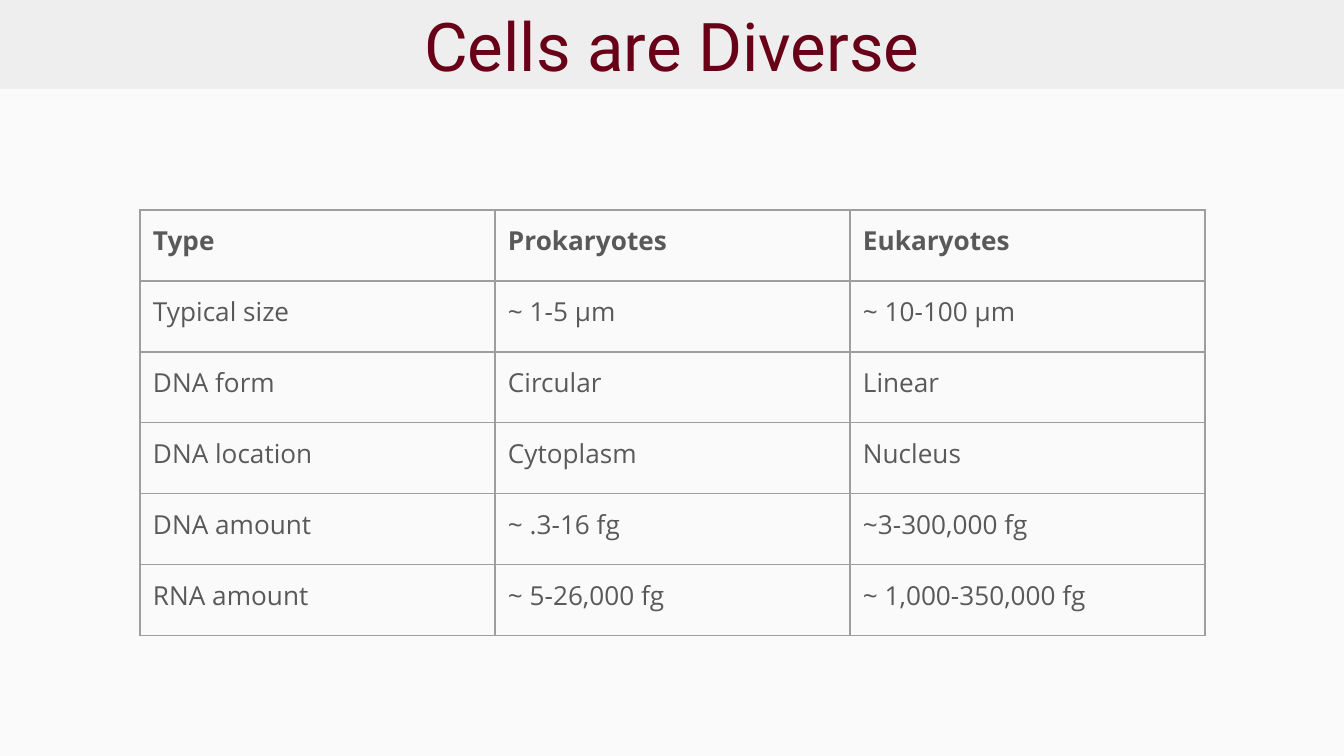
from dataclasses import dataclass

from lxml.etree import SubElement
from pptx import Presentation
from pptx.dml.color import RGBColor as RGB
from pptx.enum.shapes import MSO_SHAPE as Shape
from pptx.enum.text import MSO_ANCHOR as Anchor, PP_ALIGN as Align
from pptx.oxml.ns import qn
from pptx.util import Emu, Pt


@dataclass(frozen=True)
class Theme:
    back: str = "FAFAFA"
    band: str = "EEEEEE"
    title: str = "680018"
    text: str = "595959"
    rule: str = "9E9E9E"
    head_font: str = "Roboto"
    body_font: str = "Open Sans"
    head_size: int = 36
    body_size: int = 14
    rule_width: float = 0.75


theme = Theme()
WIDE, HIGH = 1344, 756
PAD = 13


def px(n):
    """Turn px into EMU, with 1344 px to 10 inches."""
    return Emu(round(n * 9144000 / WIDE))


def style(para, font, size, color, bold=False):
    for run in para.runs:
        run.font.name = font
        run.font.size = Pt(size)
        run.font.color.rgb = RGB.from_string(color)
        run.font.bold = bold


deck = Presentation()
deck.slide_width, deck.slide_height = px(WIDE), px(HIGH)
slide = deck.slides.add_slide(deck.slide_layouts[6])
slide.background.fill.solid()
slide.background.fill.fore_color.rgb = RGB.from_string(theme.back)

# Title band
band = slide.shapes.add_shape(Shape.RECTANGLE, 0, 0, px(WIDE), px(89))
band.shadow.inherit = False
band.fill.solid()
band.fill.fore_color.rgb = RGB.from_string(theme.band)
band.line.fill.background()
frame = band.text_frame
frame.text = "Cells are Diverse"
frame.word_wrap = True
frame.vertical_anchor = Anchor.MIDDLE
frame.margin_left = frame.margin_right = px(PAD)
frame.margin_top = frame.margin_bottom = px(PAD)
frame.paragraphs[0].alignment = Align.CENTER
style(frame.paragraphs[0], theme.head_font, theme.head_size, theme.title)

# Comparison table
rows = [
    ("Type", "Prokaryotes", "Eukaryotes"),
    ("Typical size", "~ 1-5 μm", "~ 10-100 μm"),
    ("DNA form", "Circular", "Linear"),
    ("DNA location", "Cytoplasm", "Nucleus"),
    ("DNA amount", "~ .3-16 fg", "~3-300,000 fg"),
    ("RNA amount", "~ 5-26,000 fg", "~ 1,000-350,000 fg"),
]
COL, ROW = 355, 71
count = len(rows[0])
table = slide.shapes.add_table(
    len(rows), count, px(140), px(210), px(COL * count), px(ROW * len(rows))
).table
table.first_row = table.horz_banding = False
for col in table.columns:
    col.width = px(COL)
for r, row in enumerate(rows):
    table.rows[r].height = px(ROW)
    for c, text in enumerate(row):
        cell = table.cell(r, c)
        cell.text_frame.text = text
        cell.margin_left = cell.margin_right = px(PAD)
        cell.margin_top = cell.margin_bottom = px(PAD)
        style(cell.text_frame.paragraphs[0], theme.body_font,
              theme.body_size, theme.text, bold=r == 0)
        props = cell._tc.get_or_add_tcPr()
        for side in ("a:lnL", "a:lnR", "a:lnT", "a:lnB"):
            line = SubElement(props, qn(side), w=str(Pt(theme.rule_width)))
            fill = SubElement(line, qn("a:solidFill"))
            SubElement(fill, qn("a:srgbClr"), val=theme.rule)
        cell.fill.background()

deck.save("out.pptx")
